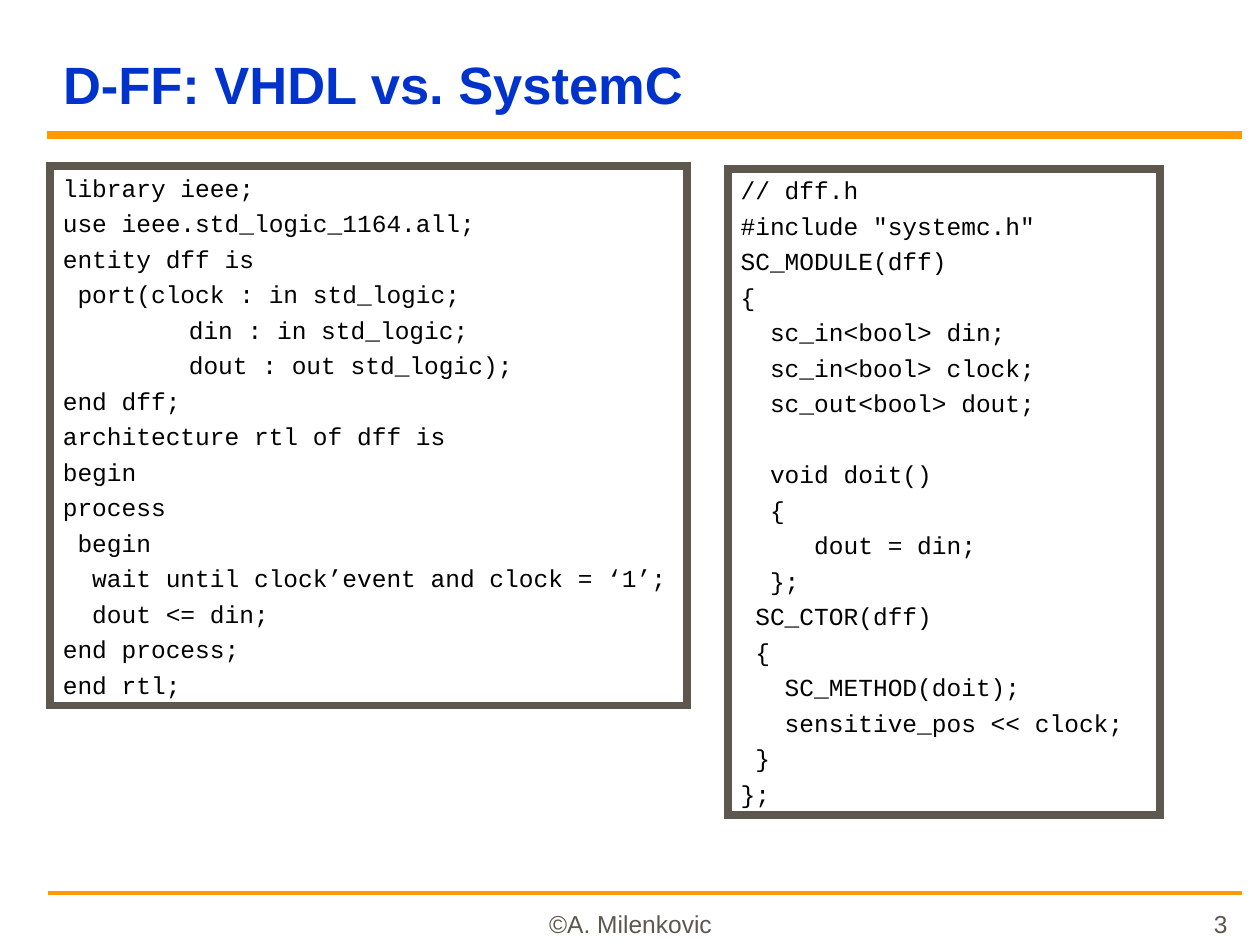
from pptx import Presentation, util as u
from pptx.dml.color import RGBColor
from pptx.enum import shapes, text
from pptx.oxml import ns
from lxml import etree

BLUE = RGBColor(0x00, 0x33, 0xCC)
ORANGE = RGBColor(0xFF, 0x99, 0x00)
GRAY = RGBColor(0x5E, 0x57, 0x4E)
BLACK = RGBColor(0x00, 0x00, 0x00)

VHDL = """library ieee;
use ieee.std_logic_1164.all;
entity dff is
 port(clock : in std_logic;
\tdin : in std_logic;
\tdout : out std_logic);
end dff;
architecture rtl of dff is
begin
process
 begin
  wait until clock’event and clock = ‘1’;
  dout <= din;
end process;
end rtl;"""

SYSC = """// dff.h
#include "systemc.h"
SC_MODULE(dff)
{
  sc_in<bool> din;
  sc_in<bool> clock;
  sc_out<bool> dout;

  void doit()
  {
     dout = din;
  };
 SC_CTOR(dff)
 {
   SC_METHOD(doit);
   sensitive_pos << clock;
 }
};"""


def style(run, name, size, color, bold=False):
    run.font.name = name
    run.font.size = u.Pt(size)
    run.font.color.rgb = color
    run.font.bold = bold


deck = Presentation()
deck.slide_width, deck.slide_height = u.Inches(10), u.Inches(7.5)
slide = deck.slides.add_slide(deck.slide_layouts[5])

for left, y, width in [(0.38, 7.09, 2.25), (0.37, 1.07, 4.5)]:
    rule = slide.shapes.add_connector(
        shapes.MSO_CONNECTOR.STRAIGHT,
        u.Inches(left), u.Inches(y), u.Inches(9.86), u.Inches(y))
    rule.line.color.rgb = ORANGE
    rule.line.width = u.Pt(width)
    etree.SubElement(rule._element.spPr, ns.qn("a:effectLst"))

title = slide.shapes.title
title.left, title.top = u.Inches(0.4), u.Inches(0.19)
title.width, title.height = u.Inches(9.46), u.Inches(0.77)
frame = title.text_frame
frame.text = "D-FF: VHDL vs. SystemC"
frame.auto_size = text.MSO_AUTO_SIZE.NONE
frame.vertical_anchor = text.MSO_ANCHOR.BOTTOM
frame.paragraphs[0].alignment = text.PP_ALIGN.LEFT
style(frame.paragraphs[0].runs[0], "Arial", 30, BLUE, True)

for words, align, spot in [
    ("©A. Milenkovic", text.PP_ALIGN.CENTER, (3.42, 7.04, 3.17, 0.46)),
    ("3", text.PP_ALIGN.RIGHT, (7.45, 7.11, 2.39, 0.39)),
]:
    foot = slide.shapes.add_textbox(*map(u.Inches, spot))
    frame = foot.text_frame
    frame.text = words
    frame.word_wrap = True
    frame.vertical_anchor = text.MSO_ANCHOR.BOTTOM
    frame.paragraphs[0].alignment = align
    style(frame.paragraphs[0].runs[0], "Arial", 14, GRAY)

for code, spot in [(VHDL, (0.4, 1.32, 5.05, 4.28)),
                   (SYSC, (5.78, 1.34, 3.43, 5.13))]:
    box = slide.shapes.add_shape(
        shapes.MSO_SHAPE.RECTANGLE, *map(u.Inches, spot))
    box.shadow.inherit = False
    box.fill.background()
    box.line.color.rgb = GRAY
    box.line.width = u.Pt(4.5)
    edge = box._element.spPr.find(ns.qn("a:ln"))
    etree.SubElement(edge, ns.qn("a:miter"), lim="800000")
    frame = box.text_frame
    frame.text = code
    frame.word_wrap = True
    frame.auto_size = text.MSO_AUTO_SIZE.SHAPE_TO_FIT_TEXT
    frame.vertical_anchor = text.MSO_ANCHOR.TOP
    for row, para in enumerate(frame.paragraphs):
        para.alignment = text.PP_ALIGN.LEFT
        para.space_before = u.Pt(3.5 if row else 0)
        if para.text.startswith("\t"):
            tabs = etree.SubElement(para._p.get_or_add_pPr(), ns.qn("a:tabLst"))
            etree.SubElement(tabs, ns.qn("a:tab"), pos=str(u.Inches(1)), algn="l")
        for run in para.runs:
            style(run, "Courier New", 14, BLACK)
        if not para.runs:
            end = para._p.get_or_add_endParaRPr()
            end.set("sz", "1400")
            etree.SubElement(end, ns.qn("a:latin"), typeface="Courier New")

deck.save("out.pptx")
